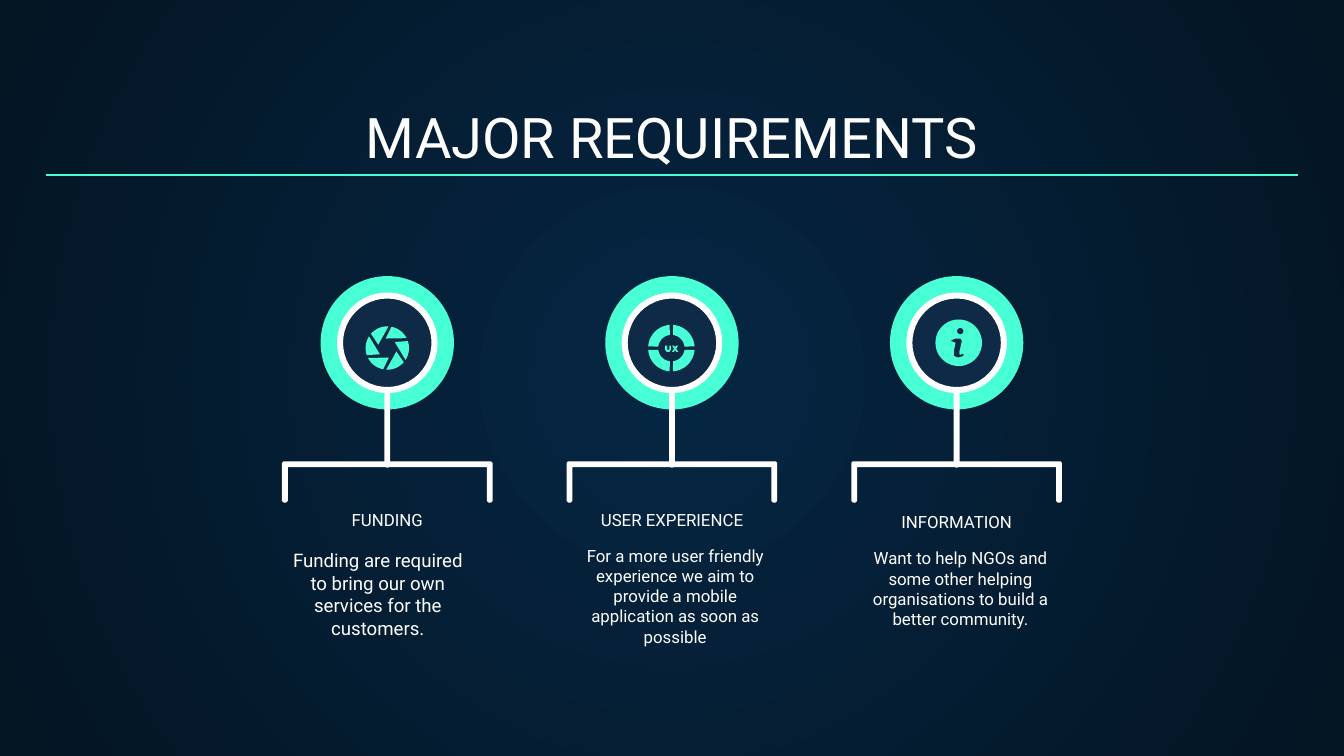
import math
from dataclasses import dataclass

import pptx
import pptx.dml.color
import pptx.enum.shapes
import pptx.enum.text
import pptx.oxml
import pptx.oxml.ns
import pptx.util

Cm = pptx.util.Cm
Shape = pptx.enum.shapes.MSO_SHAPE
Anchor = pptx.enum.text.MSO_ANCHOR


def rgb(code):
    return pptx.dml.color.RGBColor.from_string(code)


@dataclass(frozen=True)
class Theme:
    font: str = "Roboto"
    centre: str = "052643"
    edge: str = "041523"
    accent: str = "48FFD5"
    core: str = "0E2A47"
    white: str = "FFFFFF"
    title_size: float = 30
    label_size: float = 9
    rule_width: float = 0.75


THEME = Theme()
COLUMN_PITCH = 5.38
COLUMN_WIDTH = 5.77


def paint(shape, colour):
    shape.shadow.inherit = False
    shape.fill.solid()
    shape.fill.fore_color.rgb = rgb(colour)
    shape.line.fill.background()


def add_preset(page, kind, cx, cy, width, height, colour):
    shape = page.shapes.add_shape(
        kind, Cm(cx - width / 2), Cm(cy - height / 2), Cm(width), Cm(height))
    paint(shape, colour)
    return shape


def add_outline(page, cx, cy, contours, colour):
    placed = [[(Cm(cx + x), Cm(cy + y)) for x, y in contour] for contour in contours]
    builder = page.shapes.build_freeform(*placed[0][0], scale=1.0)
    for index, contour in enumerate(placed):
        if index:
            builder.move_to(*contour[0])
        builder.add_line_segments(contour[1:], close=True)
    paint(builder.convert_to_shape(), colour)


def arc(radius, start, end, steps=12, cx=0, cy=0):
    angles = [math.radians(start + (end - start) * i / steps) for i in range(steps + 1)]
    return [(cx + radius * math.cos(a), cy + radius * math.sin(a)) for a in angles]


def rotate(points, degrees):
    c, s = math.cos(math.radians(degrees)), math.sin(math.radians(degrees))
    return [(x * c - y * s, x * s + y * c) for x, y in points]


def write(shape, text, size, anchor):
    frame = shape.text_frame
    frame.word_wrap = True
    frame.auto_size = pptx.enum.text.MSO_AUTO_SIZE.NONE
    frame.vertical_anchor = anchor
    frame.margin_left = frame.margin_right = Cm(0.25)
    frame.margin_top = frame.margin_bottom = Cm(0.25)
    frame.text = text
    para = frame.paragraphs[0]
    para.alignment = pptx.enum.text.PP_ALIGN.CENTER
    para.font.name = THEME.font
    para.font.size = pptx.util.Pt(size)
    para.font.color.rgb = rgb(THEME.white)


def add_text(page, cx, top, width, height, text, size, anchor):
    box = page.shapes.add_textbox(Cm(cx - width / 2), Cm(top), Cm(width), Cm(height))
    write(box, text, size, anchor)


def aperture_icon(page, cx, cy):
    blade = [(-0.03, -0.18)] + arc(0.41, -79, -27)
    for turn in range(0, 360, 60):
        add_outline(page, cx, cy + 0.1, [rotate(blade, turn)], THEME.accent)


def ux_icon(page, cx, cy):
    segment = arc(0.44, 4, 86) + arc(0.25, 83, 7)
    letter_u = [(-0.12, -0.05), (-0.08, -0.05), (-0.08, 0.02), (-0.07, 0.03),
                (-0.05, 0.03), (-0.04, 0.02), (-0.04, -0.05), (-0.01, -0.05),
                (-0.01, 0.03), (-0.04, 0.07), (-0.09, 0.07), (-0.12, 0.03)]
    letter_x = [(0.01, -0.05), (0.05, -0.05), (0.07, -0.02), (0.09, -0.05),
                (0.13, -0.05), (0.09, 0.01), (0.13, 0.07), (0.09, 0.07),
                (0.07, 0.03), (0.05, 0.07), (0.01, 0.07), (0.05, 0.01)]
    segments = [rotate(segment, turn) for turn in range(0, 360, 90)]
    for contour in segments + [letter_u, letter_x]:
        add_outline(page, cx - 0.01, cy + 0.04 * 2.54, [contour], THEME.accent)


def info_icon(page, cx, cy):
    stem = [(-0.14, -0.05), (-0.06, -0.08), (0.04, -0.08), (0.06, -0.03),
            (0.01, 0.18), (0.02, 0.23), (0.09, 0.2), (0.09, 0.25), (-0.01, 0.28),
            (-0.09, 0.25), (-0.09, 0.15), (-0.06, 0), (-0.14, -0.03)]
    disc = arc(0.44, 0, 360, 60)
    dot = arc(0.06, 0, 360, 20, 0.03, -0.22)
    add_outline(page, cx + 0.04, cy, [disc, dot, stem], THEME.accent)


def add_bracket(page, cx, top):
    half, drop, bar, cut = 1.99, 0.78, 0.11, 0.03
    right = [(half - cut, 0), (half, cut), (half, drop - cut), (half - cut, drop),
             (half - bar + cut, drop), (half - bar, drop - cut), (half - bar, bar)]
    left = [(-x, y) for x, y in reversed(right)]
    add_outline(page, cx, top, [right + left], THEME.white)


def add_requirement(page, left, top, width, item):
    cx, cy = left + width / 2, top + 1.26
    add_bracket(page, cx, top + 3.5)
    add_preset(page, Shape.OVAL, cx, cy, 2.52, 2.52, THEME.accent)
    stem = add_preset(page, Shape.ROUNDED_RECTANGLE, cx, cy + 1.09, 0.11, 2.54, THEME.white)
    stem.adjustments[0] = 0.5
    add_preset(page, Shape.OVAL, cx, cy, 1.78, 1.78, THEME.core)
    ring = add_preset(page, Shape.DONUT, cx, cy, 1.9, 1.9, THEME.white)
    ring.adjustments[0] = 0.06
    item["icon"](page, cx, cy)
    add_text(page, cx, top + item["label_top"], width, 0.53, item["label"],
             THEME.label_size, Anchor.BOTTOM)
    add_text(page, cx + item["shift"], top + item["body_top"], item["body_width"],
             item["body_height"], item["body"], item["size"], Anchor.TOP)


def add_heading(page, left, top, width, height, text):
    title = page.shapes.title
    title.left, title.top, title.width, title.height = map(Cm, (left, top, width, height))
    write(title, text, THEME.title_size, Anchor.BOTTOM)
    rule_y = Cm(top + height - 0.15)
    rule = page.shapes.add_connector(
        pptx.enum.shapes.MSO_CONNECTOR.STRAIGHT, Cm(left), rule_y, Cm(left + width), rule_y)
    rule.line.color.rgb = rgb(THEME.accent)
    rule.line.width = pptx.util.Pt(THEME.rule_width)
    rule.element.spPr.append(pptx.oxml.parse_xml(
        f'<a:effectLst {pptx.oxml.ns.nsdecls("a")}/>'))


def set_background(page):
    fill = page.background.fill
    fill.gradient()
    for stop, colour in zip(fill.gradient_stops, (THEME.centre, THEME.edge)):
        stop.color.rgb = rgb(colour)
    gradient = page.element.find(".//" + pptx.oxml.ns.qn("a:gradFill"))
    linear = gradient.find(pptx.oxml.ns.qn("a:lin"))
    gradient.replace(linear, pptx.oxml.parse_xml(
        f'<a:path {pptx.oxml.ns.nsdecls("a")} path="circle">'
        '<a:fillToRect l="50000" t="50000" r="50000" b="50000"/></a:path>'))


REQUIREMENTS = [
    dict(icon=aperture_icon, label="FUNDING", label_top=4.51, size=10, shift=-0.18,
         body_top=4.91, body_width=3.86, body_height=2.03,
         body="Funding are required to bring our own services for the customers."),
    dict(icon=ux_icon, label="USER EXPERIENCE", label_top=4.51, size=9, shift=0.06,
         body_top=4.84, body_width=3.99, body_height=2.16,
         body="For a more user friendly experience we aim to provide a mobile "
              "application as soon as possible"),
    dict(icon=info_icon, label="INFORMATION", label_top=4.56, size=9, shift=0.07,
         body_top=4.89, body_width=3.99, body_height=1.78,
         body="Want to help NGOs and some other helping organisations to build a "
              "better community."),
]


def main():
    deck = pptx.Presentation()
    deck.slide_width, deck.slide_height = Cm(25.4), Cm(14.29)
    page = deck.slides.add_slide(deck.slide_layouts[5])
    set_background(page)
    add_heading(page, 0.86, 1.78, 23.68, 1.68, "MAJOR REQUIREMENTS")
    first_left = 12.7 - COLUMN_PITCH - COLUMN_WIDTH / 2
    for index, item in enumerate(REQUIREMENTS):
        add_requirement(page, first_left + index * COLUMN_PITCH, 5.22, COLUMN_WIDTH, item)
    deck.save("out.pptx")


if __name__ == "__main__":
    main()
